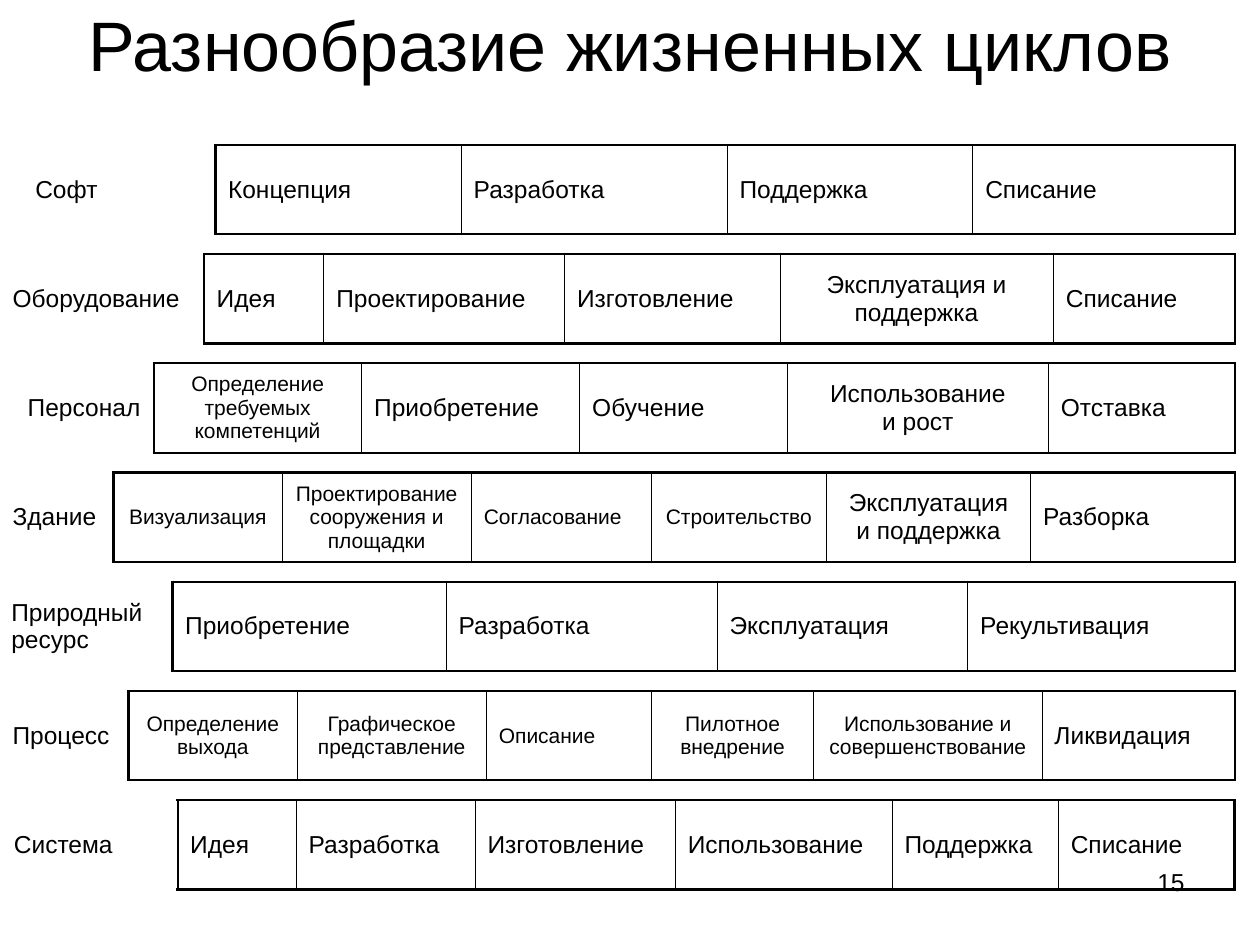
from dataclasses import dataclass

from lxml.etree import SubElement
from pptx import Presentation
from pptx.dml.color import RGBColor
from pptx.enum.text import MSO_ANCHOR, MSO_AUTO_SIZE, PP_ALIGN
from pptx.oxml.ns import qn
from pptx.util import Inches, Pt

BLACK = RGBColor(0x00, 0x00, 0x00)
FONT = "Arial"
THICK, THIN = Pt(1.47), Pt(0.45)
RIGHT_EDGE, FIRST_TOP, PITCH, ROW_HEIGHT = 9.8, 1.15, 5.2 / 6, 0.71


@dataclass
class Cell:
    """One table cell: its text, column width in inches and text style."""
    text: str
    width: float
    size: int = 14
    align: PP_ALIGN = PP_ALIGN.LEFT


CENTER = PP_ALIGN.CENTER
LIFE_CYCLES = [
    [Cell("Софт", 1.53), Cell("Концепция", 1.95), Cell("Разработка", 2.11),
     Cell("Поддержка", 1.95), Cell("Списание", 2.08)],
    [Cell("Оборудование", 1.62), Cell("Идея", 0.95), Cell("Проектирование", 1.91),
     Cell("Изготовление", 1.71), Cell("Эксплуатация и поддержка", 2.17, 14, CENTER),
     Cell("Списание", 1.44)],
    [Cell("Персонал", 1.1), Cell("Определение требуемых компетенций", 1.65, 12, CENTER),
     Cell("Приобретение", 1.73), Cell("Обучение", 1.65),
     Cell("Использование\vи рост", 2.07, 14, CENTER), Cell("Отставка", 1.48)],
    [Cell("Здание", 0.9), Cell("Визуализация", 1.34, 12, CENTER),
     Cell("Проектирование сооружения и площадки", 1.5, 12, CENTER),
     Cell("Согласование", 1.43, 12), Cell("Строительство", 1.39, 12, CENTER),
     Cell("Эксплуатация и поддержка", 1.62, 14, CENTER), Cell("Разборка", 1.62)],
    [Cell("Природный ресурс", 1.38), Cell("Приобретение", 2.17),
     Cell("Разработка", 2.15), Cell("Эксплуатация", 1.99), Cell("Рекультивация", 2.12)],
    [Cell("Процесс", 1.02), Cell("Определение выхода", 1.34, 12, CENTER),
     Cell("Графическое представление", 1.5, 12, CENTER), Cell("Описание", 1.31, 12),
     Cell("Пилотное внедрение", 1.29, 12, CENTER),
     Cell("Использование и совершенствование", 1.81, 12, CENTER),
     Cell("Ликвидация", 1.53)],
    [Cell("Система", 1.4), Cell("Идея", 0.94), Cell("Разработка", 1.42),
     Cell("Изготовление", 1.59), Cell("Использование", 1.72),
     Cell("Поддержка", 1.32), Cell("Списание", 1.4)],
]


def write(tf, text, size, align):
    """Put one formatted paragraph into a text frame."""
    tf.text = text
    tf.word_wrap = True
    p = tf.paragraphs[0]
    p.alignment = align
    for r in p.runs:
        r.font.name = FONT
        r.font.size = Pt(size)
        r.font.color.rgb = BLACK


def set_borders(cell, left, right, top, bottom):
    """Draw the four cell borders; a width of None hides that side."""
    tcPr = cell._tc.get_or_add_tcPr()
    for side, width in zip("LRTB", (left, right, top, bottom)):
        ln = SubElement(tcPr, qn(f"a:ln{side}"), w=str(width or 0))
        if width is None:
            SubElement(ln, qn("a:noFill"))
        else:
            fill = SubElement(ln, qn("a:solidFill"))
            SubElement(fill, qn("a:srgbClr"), val=str(BLACK))


def add_title(s, text):
    """Fill and place the title placeholder."""
    title = s.shapes.title
    title.left, title.top = Inches(0.5), Inches(0)
    title.width, title.height = Inches(9), Inches(0.69)
    tf = title.text_frame
    write(tf, text, 40, CENTER)
    tf.auto_size = MSO_AUTO_SIZE.NONE
    tf.vertical_anchor = MSO_ANCHOR.MIDDLE


def add_life_cycle(s, top, cells):
    """Add a one-row table: an open label cell, then the framed stages."""
    width = sum(c.width for c in cells)
    table = s.shapes.add_table(1, len(cells), Inches(RIGHT_EDGE - width), Inches(top),
                               Inches(width), Inches(ROW_HEIGHT)).table
    table.first_row = table.horz_banding = False
    last = len(cells) - 1
    for i, c in enumerate(cells):
        table.columns[i].width = Inches(c.width)
        cell = table.cell(0, i)
        write(cell.text_frame, c.text, c.size, c.align)
        cell.vertical_anchor = MSO_ANCHOR.MIDDLE
        if i == 0:
            set_borders(cell, None, THICK, None, None)
        else:
            set_borders(cell, THICK if i == 1 else THIN,
                        THICK if i == last else THIN, THICK, THICK)
        cell.fill.background()


def add_page_number(s, text):
    """Add the page number at the bottom right."""
    box = s.shapes.add_textbox(Inches(7.17), Inches(6.83), Inches(2.33), Inches(0.52))
    write(box.text_frame, text, 14, PP_ALIGN.RIGHT)


def main():
    """Build the slide and save it."""
    prs = Presentation()
    prs.slide_width, prs.slide_height = Inches(10), Inches(7.5)
    s = prs.slides.add_slide(prs.slide_layouts[5])
    add_title(s, "Разнообразие жизненных циклов")
    for i, cells in enumerate(LIFE_CYCLES):
        add_life_cycle(s, FIRST_TOP + i * PITCH, cells)
    add_page_number(s, "15")
    prs.save("out.pptx")


if __name__ == "__main__":
    main()
